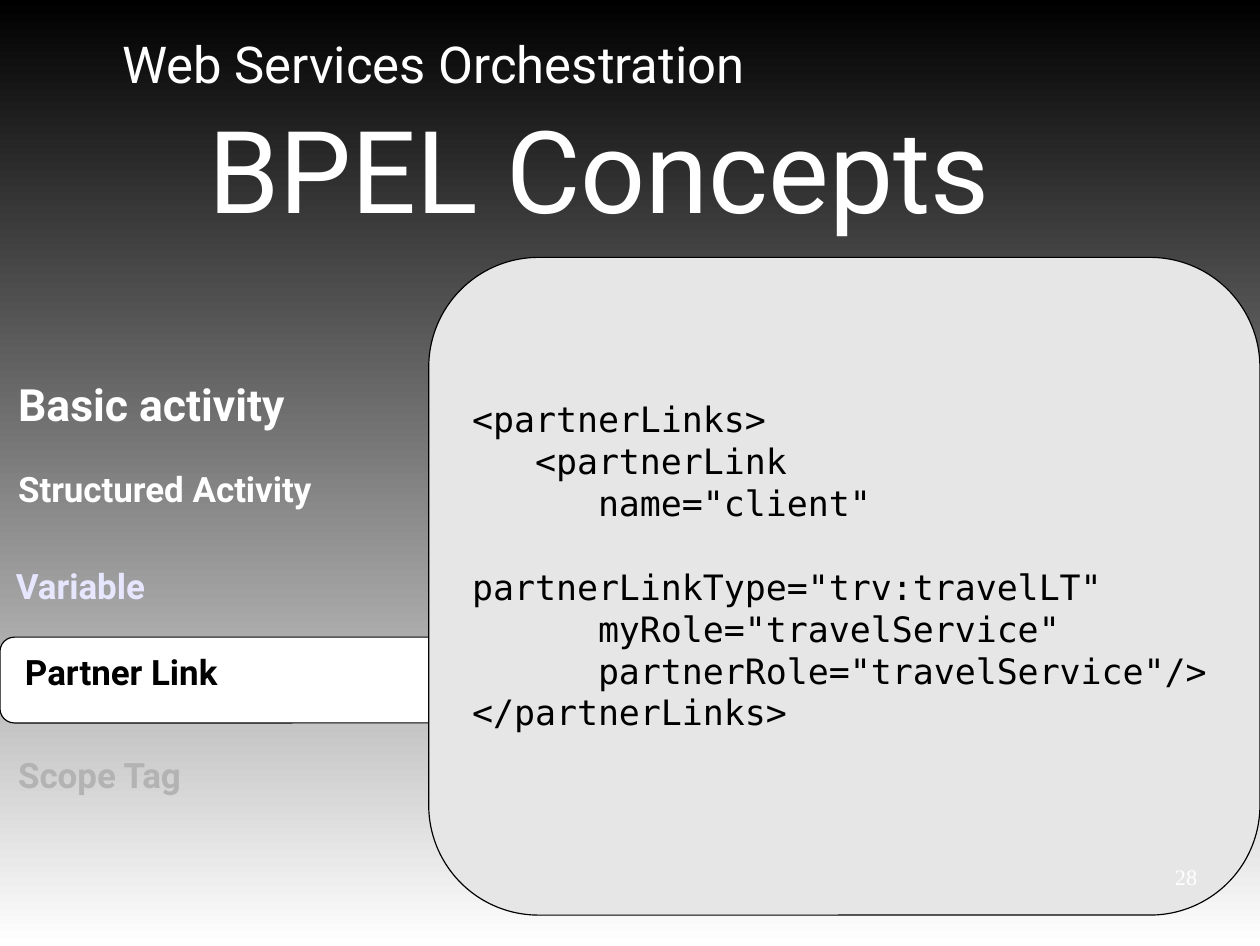
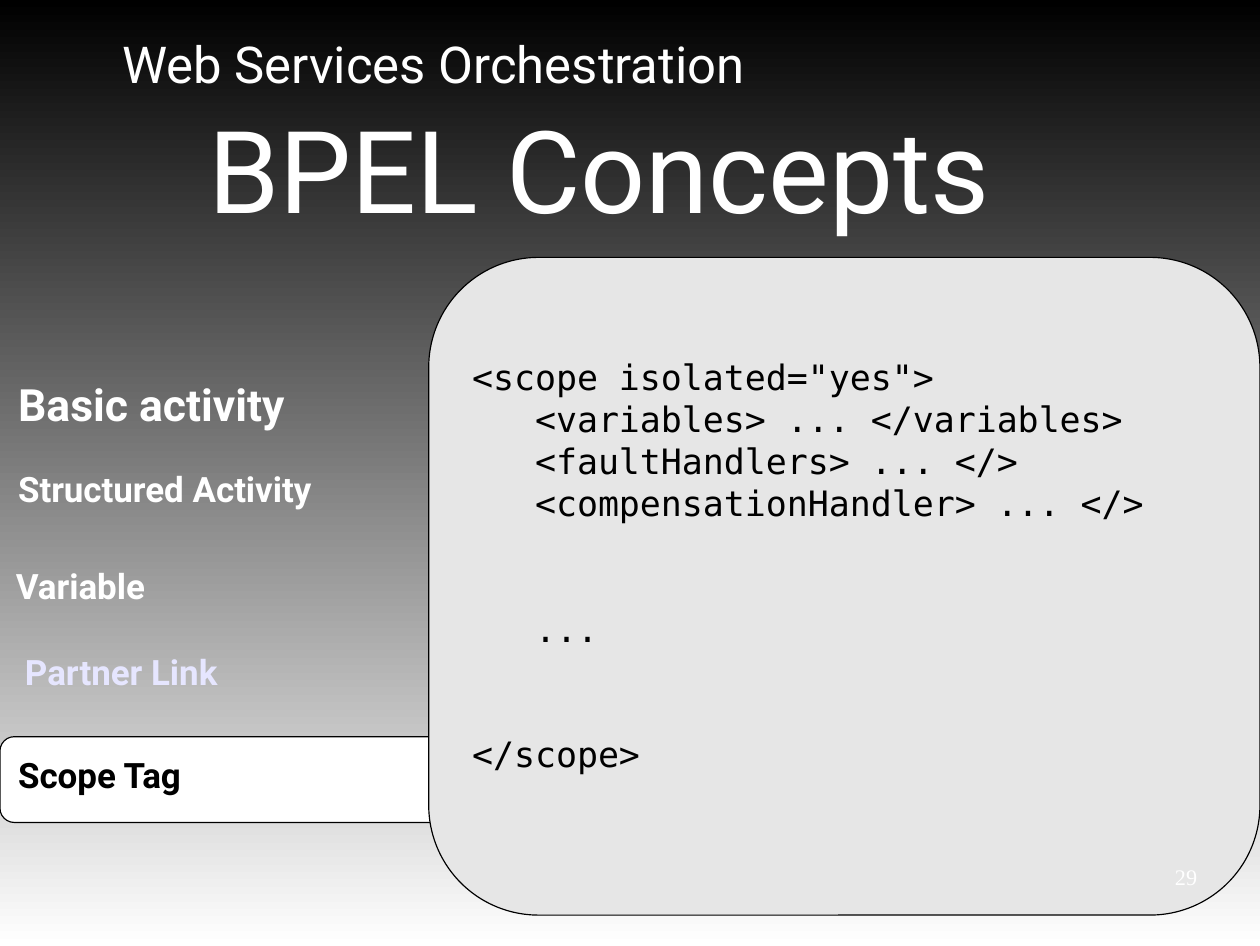
import pptx
import pptx.util
import pptx.dml.color
import pptx.enum.shapes
import pptx.enum.text

# Content
TITLE = "BPEL Concepts"
SUBTITLE = "Web Services Orchestration"

# Label, left, top, size name, top of its highlight tab
MENU = [
    ("Basic activity", 0.06, 3.25, "menu_large", None),
    ("Structured Activity", 0.06, 4.04, "menu", None),
    ("Variable", 0.04, 4.89, "menu", None),
    ("Partner Link", 0.12, 5.64, "menu", 5.57),
    ("Scope Tag", 0.06, 6.54, "menu", 6.44),
]

# Page number, index of the current menu entry, blocks of code
PAGES = [
    (28, 3, ["""<partnerLinks>
   <partnerLink
      name="client"
      partnerLinkType="trv:travelLT"
      myRole="travelService"
      partnerRole="travelService"/>
</partnerLinks>"""]),
    (29, 4, ["""<scope isolated="yes">
   <variables> ... </variables>
   <faultHandlers> ... </>
   <compensationHandler> ... </>""", "   ...", "</scope>"]),
]

# Theme
THEME = {
    "font": "Roboto", "code_font": "DejaVu Sans Mono", "number_font": "Liberation Serif",
    "white": "FFFFFF", "black": "000000", "panel": "E6E6E6",
    "previous": "E6E6FF", "upcoming": "B3B3B3",
    "title": 72, "subtitle": 32, "menu_large": 28, "menu": 22, "code": 22, "number": 14,
}
WIDTH, HEIGHT = 11.02, 8.27
PANEL_LEFT, PANEL_TOP, PANEL_HEIGHT = 3.75, 2.25, 5.75
CODE_LINE = THEME["code"] * 1.2
CORNER = 0.167

ALIGN = pptx.enum.text.PP_ALIGN
ANCHOR = pptx.enum.text.MSO_ANCHOR


def inches(*lengths):
    return [pptx.util.Inches(length) for length in lengths]


def color(name):
    return pptx.dml.color.RGBColor.from_string(THEME[name])


def write(shape, blocks, size, fill="white", font="font", bold=False,
          align=ALIGN.LEFT, anchor=ANCHOR.TOP, block_gap=0):
    """Write blocks of lines, one paragraph a line, with a gap between blocks."""
    frame = shape.text_frame
    frame.word_wrap = True
    frame.auto_size = pptx.enum.text.MSO_AUTO_SIZE.NONE
    frame.vertical_anchor = anchor
    lines = [(line, block > 0 and row == 0)
             for block, text in enumerate(blocks)
             for row, line in enumerate(text.split("\n"))]
    for index, (line, starts_block) in enumerate(lines):
        paragraph = frame.add_paragraph() if index else frame.paragraphs[0]
        paragraph.alignment = align
        paragraph.space_before = pptx.util.Pt(block_gap if starts_block else 0)
        run = paragraph.add_run()
        run.text = line
        run.font.name = THEME[font]
        run.font.size = pptx.util.Pt(THEME[size])
        run.font.bold = bold
        run.font.color.rgb = color(fill)


def add_text(slide, box, text, size, **formatting):
    write(slide.shapes.add_textbox(*inches(*box)), [text], size, **formatting)


def add_rounded(slide, box, fill):
    shape = slide.shapes.add_shape(
        pptx.enum.shapes.MSO_SHAPE.ROUNDED_RECTANGLE, *inches(*box))
    shape.adjustments[0] = CORNER
    shape.shadow.inherit = False
    shape.fill.solid()
    shape.fill.fore_color.rgb = color(fill)
    shape.line.color.rgb = color("black")
    shape.line.width = pptx.util.Pt(0)
    return shape


def set_background(master):
    fill = master.background.fill
    fill.gradient()
    fill.gradient_angle = 270
    for stop, position, name in zip(fill.gradient_stops, (0, 1), ("black", "white")):
        stop.position = position
        stop.color.rgb = color(name)


def menu_color(index, current):
    if index == current:
        return "black"
    if index > current:
        return "upcoming"
    return "previous" if index == current - 1 else "white"


def add_menu(slide, current):
    add_rounded(slide, (0, MENU[current][4], 4, 0.75), "white")
    for index, (label, left, top, size, _) in enumerate(MENU):
        add_text(slide, (left, top, 3.69, 0.74), label, size,
                 fill=menu_color(index, current), bold=True)


def add_page(presentation, number, current, code):
    slide = presentation.slides.add_slide(presentation.slide_layouts[5])

    # Titles
    title = slide.shapes.title
    title.left, title.top, title.width, title.height = inches(1.72, 0.82, 8.28, 1.71)
    write(title, [TITLE], "title")
    add_text(slide, (0.97, 0.24, 6.77, 0.82), SUBTITLE, "subtitle")

    add_menu(slide, current)

    # Code panel, its text set half a line above the middle
    panel = add_rounded(
        slide, (PANEL_LEFT, PANEL_TOP, WIDTH - PANEL_LEFT, PANEL_HEIGHT), "panel")
    panel.text_frame.margin_bottom = pptx.util.Pt(CODE_LINE + 3.6)
    write(panel, code, "code", fill="black", font="code_font",
          anchor=ANCHOR.MIDDLE, block_gap=2 * CODE_LINE)

    # Page number
    add_text(slide, (9.57, 7.46, 1, 0.4), str(number), "number",
             font="number_font", align=ALIGN.RIGHT, anchor=ANCHOR.MIDDLE)


def main():
    presentation = pptx.Presentation()
    presentation.slide_width, presentation.slide_height = inches(WIDTH, HEIGHT)
    set_background(presentation.slide_master)
    for page in PAGES:
        add_page(presentation, *page)
    presentation.save("out.pptx")


if __name__ == "__main__":
    main()
